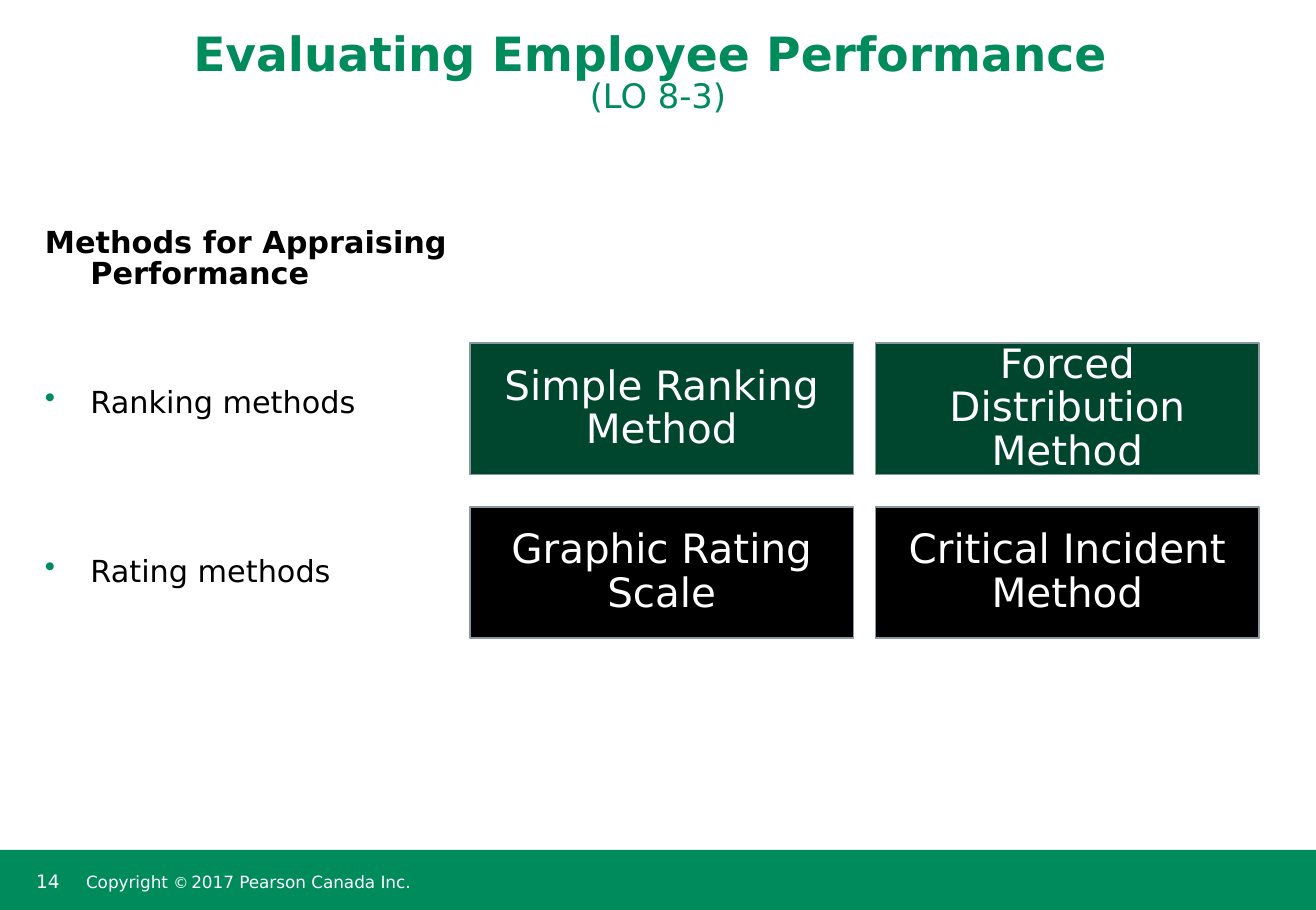
from dataclasses import dataclass
from typing import Any

from lxml.etree import SubElement
from pptx import Presentation
from pptx.dml.color import RGBColor
from pptx.enum.shapes import MSO_SHAPE
from pptx.enum.text import MSO_ANCHOR, MSO_AUTO_SIZE, PP_ALIGN
from pptx.oxml.ns import qn
from pptx.util import Pt


@dataclass(frozen=True)
class Theme:
    font: str = "DejaVu Sans"
    green: str = "008B5D"
    dark_green: str = "00452E"
    black: str = "000000"
    white: str = "FFFFFF"
    outline: str = "87999E"
    title: float = 28
    subtitle: float = 20
    method: float = 24
    body: float = 18
    page_number: float = 11
    copyright: float = 10
    symbol: float = 9
    thin_space: float = 5


@dataclass(frozen=True)
class Span:
    text: str
    size: float
    color: str
    bold: bool = False


@dataclass(frozen=True)
class Topic:
    text: str
    space_before: float
    heading: bool = False


@dataclass(frozen=True)
class MethodRow:
    fill: str
    methods: tuple[str, str]


THEME = Theme()
WIDTH, HEIGHT = 781.2, 540
BAND_TOP, BAND_HEIGHT = 504.4, 36
GRID_LEFT, GRID_TOP = 278.9, 203.6
BOX_WIDTH, BOX_HEIGHT = 227.8, 78
COLUMN_STEP, ROW_STEP = 240.8, 97.2
INDENT = 27

TOPICS = (
    Topic("Methods for Appraising Performance", 0, heading=True),
    Topic("Ranking methods", 58.6),
    Topic("Rating methods", 81.8),
)
METHOD_ROWS = (
    MethodRow(THEME.dark_green, ("Simple Ranking Method", "Forced Distribution Method")),
    MethodRow(THEME.black, ("Graphic Rating Scale", "Critical Incident Method")),
)


def apply_format(target: Any, values: dict[str, Any]) -> None:
    for name, value in values.items():
        setattr(target, name, value)


def place(shape: Any, left: float, top: float, width: float, height: float) -> None:
    lengths = {"left": left, "top": top, "width": width, "height": height}
    apply_format(shape, {name: Pt(value) for name, value in lengths.items()})


def format_frame(frame: Any, anchor: MSO_ANCHOR,
                 insets: tuple[float, float, float, float] = (7.2, 3.6, 7.2, 3.6)) -> None:
    """Insets run left, top, right, bottom."""
    sides = ("margin_left", "margin_top", "margin_right", "margin_bottom")
    apply_format(frame, {
        "word_wrap": True,
        "auto_size": MSO_AUTO_SIZE.NONE,
        "vertical_anchor": anchor,
        **{side: Pt(inset) for side, inset in zip(sides, insets)},
    })


def add_span(para: Any, span: Span) -> None:
    run = para.add_run()
    run.text = span.text
    apply_format(run.font, {"name": THEME.font, "size": Pt(span.size), "bold": span.bold})
    run.font.color.rgb = RGBColor.from_string(span.color)


def add_rectangle(page: Any, left: float, top: float, width: float, height: float,
                  fill: str) -> Any:
    shape = page.shapes.add_shape(
        MSO_SHAPE.RECTANGLE, Pt(left), Pt(top), Pt(width), Pt(height))
    shape.shadow.inherit = False
    shape.fill.solid()
    shape.fill.fore_color.rgb = RGBColor.from_string(fill)
    return shape


def set_indent(para: Any, bullet: bool) -> None:
    """Hang the first line, with or without a green bullet."""
    properties = para._p.get_or_add_pPr()
    properties.set("marL", str(Pt(INDENT)))
    properties.set("indent", str(-Pt(INDENT)))
    if bullet:
        color = SubElement(properties, qn("a:buClr"))
        SubElement(color, qn("a:srgbClr"), val=THEME.green)
        SubElement(properties, qn("a:buChar"), char="•")


def fill_title(page: Any) -> None:
    title = page.shapes.title
    place(title, 0, 0, WIDTH, 72)
    format_frame(title.text_frame, MSO_ANCHOR.BOTTOM)
    para = title.text_frame.paragraphs[0]
    apply_format(para, {
        "alignment": PP_ALIGN.CENTER, "line_spacing": 0.85, "space_after": Pt(6.5)})
    add_span(para, Span("Evaluating Employee Performance ", THEME.title, THEME.green, True))
    para.add_line_break()
    add_span(para, Span("(LO 8-3)", THEME.subtitle, THEME.green))


def add_topics(page: Any) -> None:
    box = page.shapes.add_textbox(Pt(19.6), Pt(132), Pt(258.5), Pt(329))
    frame = box.text_frame
    format_frame(frame, MSO_ANCHOR.TOP)
    for index, topic in enumerate(TOPICS):
        para = frame.add_paragraph() if index else frame.paragraphs[0]
        set_indent(para, bullet=not topic.heading)
        apply_format(para, {"line_spacing": 0.85, "space_before": Pt(topic.space_before)})
        add_span(para, Span(topic.text, THEME.body, THEME.black, topic.heading))


def add_method(page: Any, left: float, top: float, name: str, fill: str) -> None:
    box = add_rectangle(page, left, top, BOX_WIDTH, BOX_HEIGHT, fill)
    box.line.color.rgb = RGBColor.from_string(THEME.outline)
    box.line.width = Pt(1)
    format_frame(box.text_frame, MSO_ANCHOR.MIDDLE, (10.8,) * 4)
    para = box.text_frame.paragraphs[0]
    apply_format(para, {
        "alignment": PP_ALIGN.CENTER, "line_spacing": 0.9, "space_after": Pt(10.5)})
    add_span(para, Span(name, THEME.method, THEME.white))


def add_footer(page: Any) -> None:
    band = add_rectangle(page, 0, BAND_TOP, WIDTH, HEIGHT - BAND_TOP, THEME.green)
    band.line.fill.background()

    number = page.shapes.add_textbox(Pt(14.4), Pt(512.6), Pt(33.8), Pt(23))
    format_frame(number.text_frame, MSO_ANCHOR.TOP)
    add_span(number.text_frame.paragraphs[0], Span("14", THEME.page_number, THEME.white))

    notice = page.shapes.add_textbox(Pt(47.5), Pt(BAND_TOP), Pt(416), Pt(BAND_HEIGHT))
    format_frame(notice.text_frame, MSO_ANCHOR.MIDDLE, (3.6, 7.2, 3.6, 3.6))
    para = notice.text_frame.paragraphs[0]
    para.line_spacing = 0.85
    for text, size in (("Copyright ", THEME.copyright), ("©", THEME.symbol),
                       (" ", THEME.thin_space),
                       ("2017 Pearson Canada Inc.", THEME.copyright)):
        add_span(para, Span(text, size, THEME.white))


def main() -> None:
    deck = Presentation()
    deck.slide_width, deck.slide_height = Pt(WIDTH), Pt(HEIGHT)
    page = deck.slides.add_slide(deck.slide_layouts[5])
    add_footer(page)
    fill_title(page)
    add_topics(page)
    for row_index, row in enumerate(METHOD_ROWS):
        for column, name in enumerate(row.methods):
            add_method(page, GRID_LEFT + column * COLUMN_STEP,
                       GRID_TOP + row_index * ROW_STEP, name, row.fill)
    deck.save("out.pptx")


if __name__ == "__main__":
    main()
